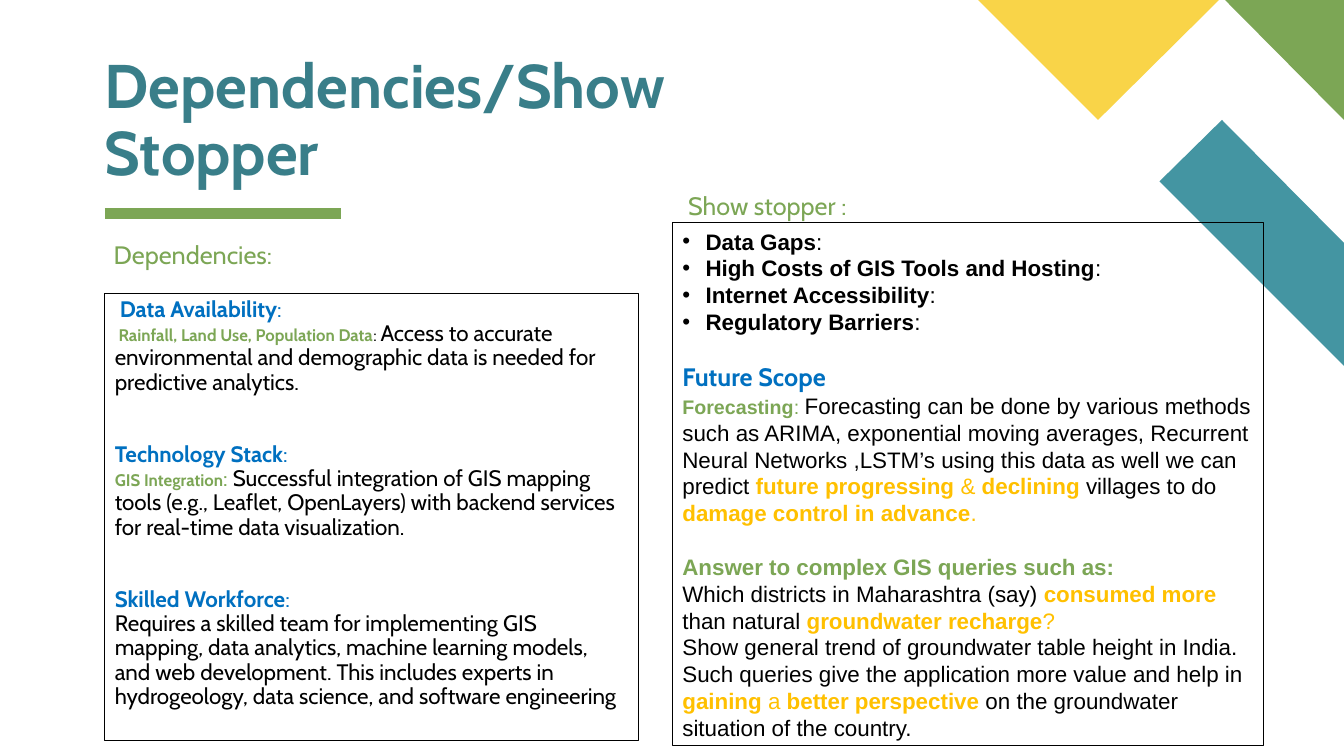
from lxml.etree import SubElement
from pptx import Presentation
from pptx.dml.color import RGBColor
from pptx.enum.shapes import MSO_CONNECTOR, MSO_SHAPE
from pptx.enum.text import MSO_ANCHOR, PP_ALIGN
from pptx.oxml.ns import qn
from pptx.util import Inches, Pt

COLORS = {
    "green": "7CA655", "teal": "4495A2", "title": "397E89", "yellow": "F9D448",
    "blue": "0070C0", "amber": "FFC000", "black": "000000",
}

# Content: a run is (text, style); a paragraph is (runs, options)
STYLES = {  # size, font (None: that of the box), colour, bold
    "title": (44, None, "title", True),
    "label": (18, None, "green", False),
    "body": (16, None, "black", False),
    "strong": (16, None, "black", True),
    "topic": (16, None, "blue", True),
    "colon": (16, None, "blue", False),
    "detail": (12, None, "green", True),
    "detail colon": (12, None, "black", False),
    "green colon": (16, None, "green", False),
    "scope": (18, "Cabin", "blue", True),
    "lead": (14, None, "green", True),
    "lead colon": (14, None, "green", False),
    "question": (16, None, "green", True),
    "accent": (16, None, "amber", True),
    "accent plain": (16, None, "amber", False),
}
TITLE = [([("Dependencies/Show Stopper", "title")], {})]
DEPENDENCIES_LABEL = [([("Dependencies:", "label")], {})]
STOPPER_LABEL = [([(" Show stopper :", "label")], {})]

TOPIC_GAP = {"before": 34.5}
DEPENDENCIES = [
    ([(" ", "body"), ("Data Availability", "topic"), (":", "colon")], {}),
    ([(" ", "detail"), ("Rainfall, Land Use, Population Data", "detail"),
      (": ", "detail colon"),
      ("Access to accurate environmental and demographic data is needed for "
       "predictive analytics.", "body")], {}),
    ([("Technology Stack", "topic"), (":", "colon")], TOPIC_GAP),
    ([("GIS Integration", "detail"), (": ", "green colon"),
      ("Successful integration of GIS mapping tools (e.g., Leaflet, OpenLayers) "
       "with backend services for real-time data visualization.", "body")], {}),
    ([("Skilled Workforce", "topic"), (":", "colon")], TOPIC_GAP),
    ([("Requires a skilled team for implementing GIS mapping, data analytics, "
       "machine learning models, and web development. This includes experts in "
       "hydrogeology, data science, and software engineering", "body")], {}),
]

STOPPERS = ["Data Gaps", "High Costs of GIS Tools and Hosting",
            "Internet Accessibility", "Regulatory Barriers"]
SECTION_GAP = {"before": 19}
SHOW_STOPPER = [
    ([(stopper, "strong"), (":", "body")], {"bullet": True}) for stopper in STOPPERS
] + [
    ([("Future Scope", "scope")], SECTION_GAP),
    ([("Forecasting", "lead"), (": ", "lead colon"),
      ("Forecasting can be done by various methods such as ARIMA, exponential "
       "moving averages, Recurrent Neural Networks ,LSTM’s using this data as "
       "well we can predict ", "body"),
      ("future progressing ", "accent"), ("& ", "accent plain"),
      ("declining ", "accent"), ("villages to do ", "body"),
      ("damage control in advance", "accent"), (".", "accent plain")], {}),
    ([("Answer to complex GIS queries such as:", "question")], SECTION_GAP),
    ([("Which districts in Maharashtra (say) ", "body"), ("consumed more ", "accent"),
      ("than natural ", "body"), ("groundwater recharge", "accent"),
      ("?", "accent plain")], {}),
    ([("Show general trend of groundwater table height in India.", "body")], {}),
    ([("Such queries give the application more value and help in ", "body"),
      ("gaining ", "accent"), ("a ", "accent plain"), ("better perspective ", "accent"),
      ("on the groundwater situation of the country.", "body")], {}),
]

# Corner decoration: colour and outline points in inches
CORNER = [
    ("teal", [(13.33, 3.63), (13.33, 2.41), (12.12, 1.19), (11.5, 1.8)]),
    ("green", [(13.33, 1.19), (13.33, 0), (12.15, 0)]),
    ("yellow", [(9.7, 0), (10.89, 1.19), (12.09, 0)]),
]

# Text blocks: left, top, width, height, paragraphs, font, line spacing, framed
BLOCKS = [
    (1.04, 2.91, 5.29, 4.44, DEPENDENCIES, "Cabin", 0.9, True),
    (6.67, 1.87, 5.62, 0.35, STOPPER_LABEL, "Cabin", 0.9, False),
    (6.67, 2.21, 5.86, 5.19, SHOW_STOPPER, "Arial", 1.0, True),
    (1.03, 2.36, 5.04, 0.35, DEPENDENCIES_LABEL, "Cabin", 0.9, False),
]


def color(name):
    return RGBColor.from_string(COLORS[name])


def add_bullet(paragraph):
    properties = paragraph._p.get_or_add_pPr()
    properties.set("marL", str(Inches(0.23)))
    properties.set("indent", str(-Inches(0.23)))
    SubElement(properties, qn("a:buFont")).set("typeface", "Arial")
    SubElement(properties, qn("a:buChar")).set("char", "•")


def write(text_frame, paragraphs, font_name, spacing):
    text_frame.word_wrap = True
    for index, (runs, options) in enumerate(paragraphs):
        paragraph = text_frame.paragraphs[0] if index == 0 else text_frame.add_paragraph()
        paragraph.alignment = PP_ALIGN.LEFT
        paragraph.line_spacing = spacing
        paragraph.space_before = Pt(options.get("before", 0))
        if options.get("bullet"):
            add_bullet(paragraph)
        for text, style in runs:
            size, own_font, color_name, bold = STYLES[style]
            run = paragraph.add_run()
            run.text = text
            run.font.size = Pt(size)
            run.font.name = own_font or font_name
            run.font.bold = bold
            run.font.color.rgb = color(color_name)


presentation = Presentation()
presentation.slide_width = Inches(13.33)
presentation.slide_height = Inches(7.5)
slide = presentation.slides.add_slide(presentation.slide_layouts[6])
shapes = slide.shapes

# Line under the title
rule = shapes.add_connector(MSO_CONNECTOR.STRAIGHT, Inches(1.04), Inches(2.12),
                            Inches(3.38), Inches(2.12))
rule.line.color.rgb = color("green")
rule.line.width = Pt(8)
SubElement(rule._element.spPr, qn("a:effectLst"))

# Corner decoration
for fill, points in CORNER:
    start, *others = [(Inches(x), Inches(y)) for x, y in points]
    builder = shapes.build_freeform(*start)
    builder.add_line_segments(others, close=True)
    shape = builder.convert_to_shape()
    shape.shadow.inherit = False
    shape.fill.solid()
    shape.fill.fore_color.rgb = color(fill)
    shape.line.fill.background()

# Title
title = shapes.add_textbox(Inches(1.04), Inches(1.2), Inches(7.7), Inches(0.67))
frame = title.text_frame
frame.margin_left = frame.margin_right = frame.margin_top = frame.margin_bottom = 0
frame.vertical_anchor = MSO_ANCHOR.BOTTOM
write(frame, TITLE, "Cabin", 0.9)

# Labels and framed text
for left, top, width, height, paragraphs, font_name, spacing, framed in BLOCKS:
    area = (Inches(left), Inches(top), Inches(width), Inches(height))
    if framed:
        shape = shapes.add_shape(MSO_SHAPE.RECTANGLE, *area)
        shape.shadow.inherit = False
        shape.fill.background()
        shape.line.color.rgb = color("black")
        shape.line.width = Pt(0.75)
    else:
        shape = shapes.add_textbox(*area)
    shape.text_frame.vertical_anchor = MSO_ANCHOR.TOP
    write(shape.text_frame, paragraphs, font_name, spacing)

presentation.save("out.pptx")
